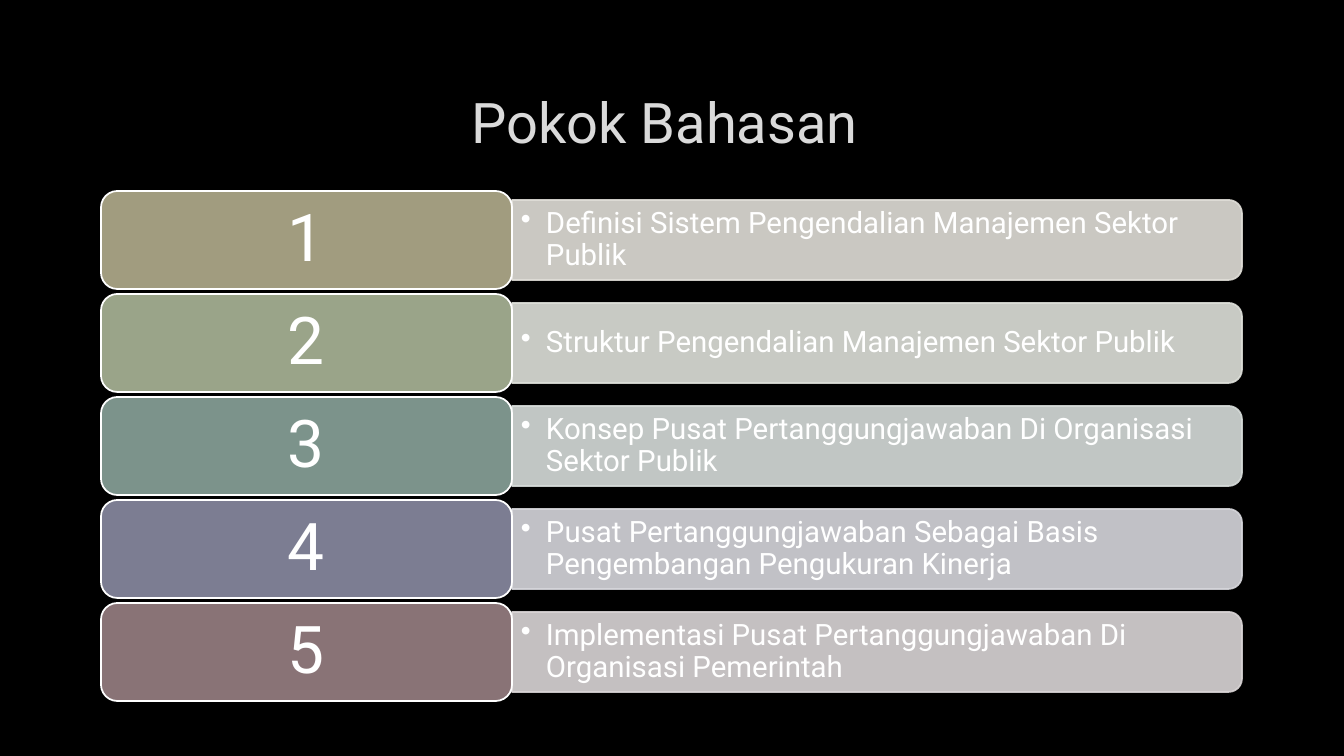
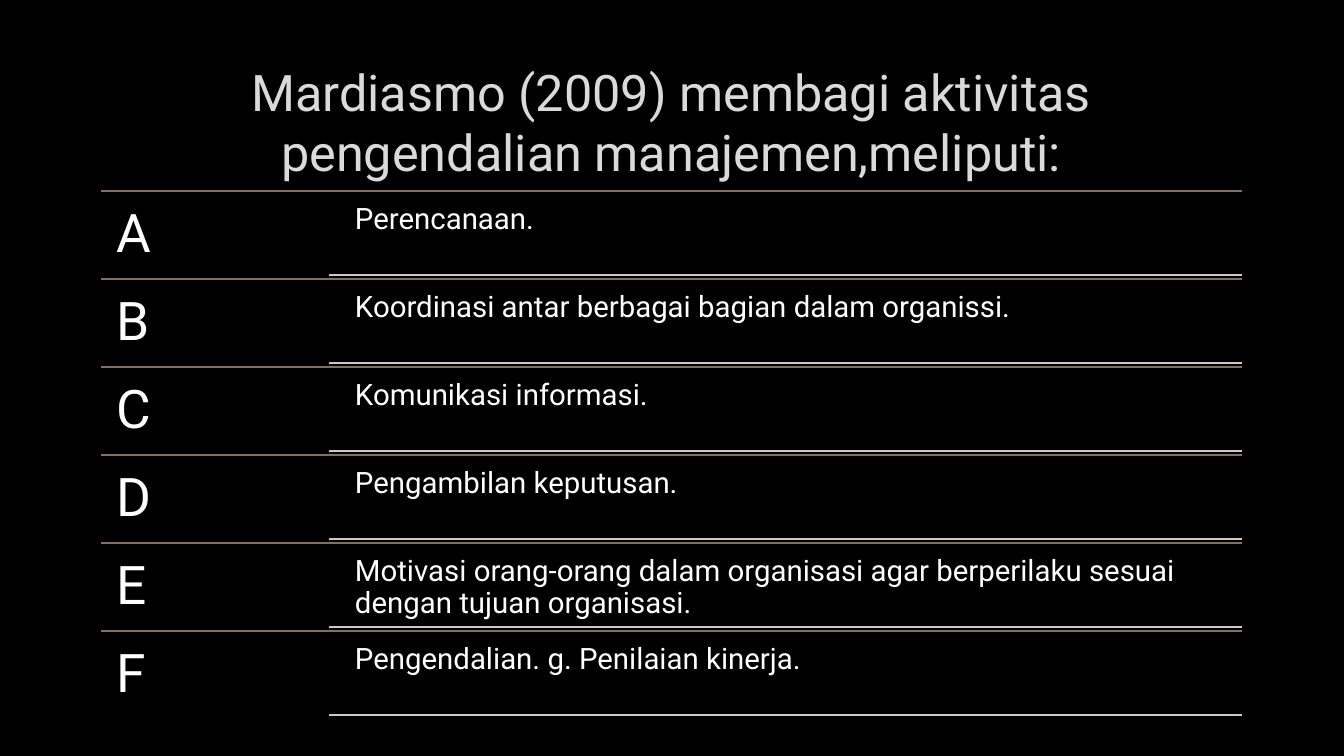
from lxml.etree import SubElement
from pptx import Presentation
from pptx.dml.color import RGBColor
from pptx.enum.shapes import MSO_CONNECTOR, MSO_SHAPE
from pptx.enum.text import MSO_ANCHOR, MSO_AUTO_SIZE, PP_ALIGN
from pptx.oxml.ns import qn
from pptx.util import Emu, Pt

SCALE = 12192000 / 1344
FONT = "Roboto"
COLORS = {
    "background": "000000",
    "title": "DADADA",
    "text": "FFFFFF",
    "row_rule": "826F61",
    "detail_rule": "CDC8C5",
}
LEFT, RIGHT, TOP = 101, 1242, 191

TOPICS = [
    ("Definisi Sistem Pengendalian Manajemen Sektor Publik", "A19C7F", "E0DED8"),
    ("Struktur Pengendalian Manajemen Sektor Publik", "9AA489", "DEE0DA"),
    ("Konsep Pusat Pertanggungjawaban Di Organisasi Sektor Publik", "7C938B", "D7DCDA"),
    ("Pusat Pertanggungjawaban Sebagai Basis Pengembangan Pengukuran Kinerja", "7C7D92", "D7D7DC"),
    ("Implementasi Pusat Pertanggungjawaban Di Organisasi Pemerintah", "897376", "DAD5D6"),
]
ACTIVITIES = [
    "Perencanaan.",
    "Koordinasi antar berbagai bagian dalam organissi.",
    "Komunikasi informasi.",
    "Pengambilan keputusan.",
    "Motivasi orang-orang dalam organisasi agar berperilaku sesuai dengan tujuan organisasi.",
    "Pengendalian. g. Penilaian kinerja.",
]


def px(*lengths):
    """Turn pixel lengths into EMU."""
    return [Emu(round(length * SCALE)) for length in lengths]


def rgb(value):
    """Turn a hex string into a colour."""
    return RGBColor.from_string(value)


def write(shape, text, size, color=COLORS["text"], align=PP_ALIGN.LEFT,
          anchor=MSO_ANCHOR.TOP, insets=(9, 9), spacing=0.9, bullet=False):
    """Fill a shape with one formatted paragraph."""
    frame = shape.text_frame
    frame.word_wrap = True
    frame.auto_size = MSO_AUTO_SIZE.NONE
    frame.vertical_anchor = anchor
    horizontal, vertical = px(*insets)
    frame.margin_left = frame.margin_right = horizontal
    frame.margin_top = frame.margin_bottom = vertical
    paragraph = frame.paragraphs[0]
    paragraph.text = text
    paragraph.alignment = align
    paragraph.line_spacing = spacing
    if bullet:
        properties = paragraph._p.get_or_add_pPr()
        indent, = px(25)
        properties.set("marL", str(indent))
        properties.set("indent", str(-indent))
        SubElement(properties, qn("a:buChar"), char="•")
    font = paragraph.font
    font.name = FONT
    font.size = Pt(size)
    font.color.rgb = rgb(color)


def add_text(slide, box, text, size, **options):
    """Add a text box."""
    write(slide.shapes.add_textbox(*px(*box)), text, size, **options)


def add_panel(slide, kind, box, fill, line, opacity=100):
    """Add a filled preset shape with an outline."""
    shape = slide.shapes.add_shape(kind, *px(*box))
    shape.shadow.inherit = False
    shape.fill.solid()
    shape.fill.fore_color.rgb = rgb(fill)
    shape.line.color.rgb = rgb(line)
    shape.line.width = Pt(1.25)
    if opacity < 100:
        for color in shape.element.spPr.iter(qn("a:srgbClr")):
            SubElement(color, qn("a:alpha"), val=str(opacity * 1000))
    return shape


def add_rule(slide, left, y, color):
    """Add a horizontal rule that ends at the right margin."""
    rule = slide.shapes.add_connector(MSO_CONNECTOR.STRAIGHT, *px(left, y, RIGHT, y))
    rule.line.color.rgb = rgb(color)
    rule.line.width = Pt(1.25)
    SubElement(rule.element.spPr, qn("a:effectLst"))


def add_titled_slide(presentation, text, size):
    """Add a slide with the shared title style."""
    slide = presentation.slides.add_slide(presentation.slide_layouts[5])
    title = slide.shapes.title
    title.left, title.top, title.width, title.height = px(LEFT, 68, RIGHT - LEFT, 107)
    write(title, text, size, COLORS["title"], PP_ALIGN.CENTER,
          MSO_ANCHOR.MIDDLE, (10, 5), spacing=1.0)
    return slide


def add_topic(slide, number, topic, card_color, bar_color):
    """Add a numbered card and the bar with its topic."""
    top = TOP + 103 * (number - 1)
    card_width, card_height, bar_height = 411, 98, 80
    bar_left, bar_top = LEFT + card_width, top + (card_height - bar_height) // 2
    bar_width = RIGHT - bar_left
    turn = (bar_width - bar_height) // 2
    bar = add_panel(slide, MSO_SHAPE.ROUND_2_SAME_RECTANGLE,
                    (bar_left + turn, bar_top - turn, bar_height, bar_width),
                    bar_color, bar_color, opacity=90)
    bar.rotation = 90
    add_text(slide, (bar_left, bar_top, bar_width - 4, bar_height), topic, 21,
             anchor=MSO_ANCHOR.MIDDLE, insets=(9, 4), bullet=True)
    card = add_panel(slide, MSO_SHAPE.ROUNDED_RECTANGLE,
                     (LEFT, top, card_width, card_height), card_color, COLORS["text"])
    write(card, str(number), 47, align=PP_ALIGN.CENTER,
          anchor=MSO_ANCHOR.MIDDLE, insets=(20, 10))


def add_activity(slide, index, activity):
    """Add a lettered row between rules."""
    top = TOP + 88 * index
    add_rule(slide, LEFT, top, COLORS["row_rule"])
    add_text(slide, (LEFT, top, 228, 88), "ABCDEF"[index], 38, insets=(16, 16))
    add_text(slide, (346, top + 4, RIGHT - 346, 80), activity, 21)
    add_rule(slide, LEFT + 228, top + 84, COLORS["detail_rule"])


def main():
    """Build and save the presentation."""
    presentation = Presentation()
    presentation.slide_width, presentation.slide_height = px(1344, 756)
    background = presentation.slide_master.background.fill
    background.solid()
    background.fore_color.rgb = rgb(COLORS["background"])

    slide = add_titled_slide(presentation, "Pokok Bahasan ", 40)
    for number, topic in enumerate(TOPICS, 1):
        add_topic(slide, number, *topic)

    slide = add_titled_slide(
        presentation,
        "Mardiasmo (2009) membagi aktivitas pengendalian manajemen,meliputi:", 36)
    for index, activity in enumerate(ACTIVITIES):
        add_activity(slide, index, activity)

    presentation.save("out.pptx")


if __name__ == "__main__":
    main()
